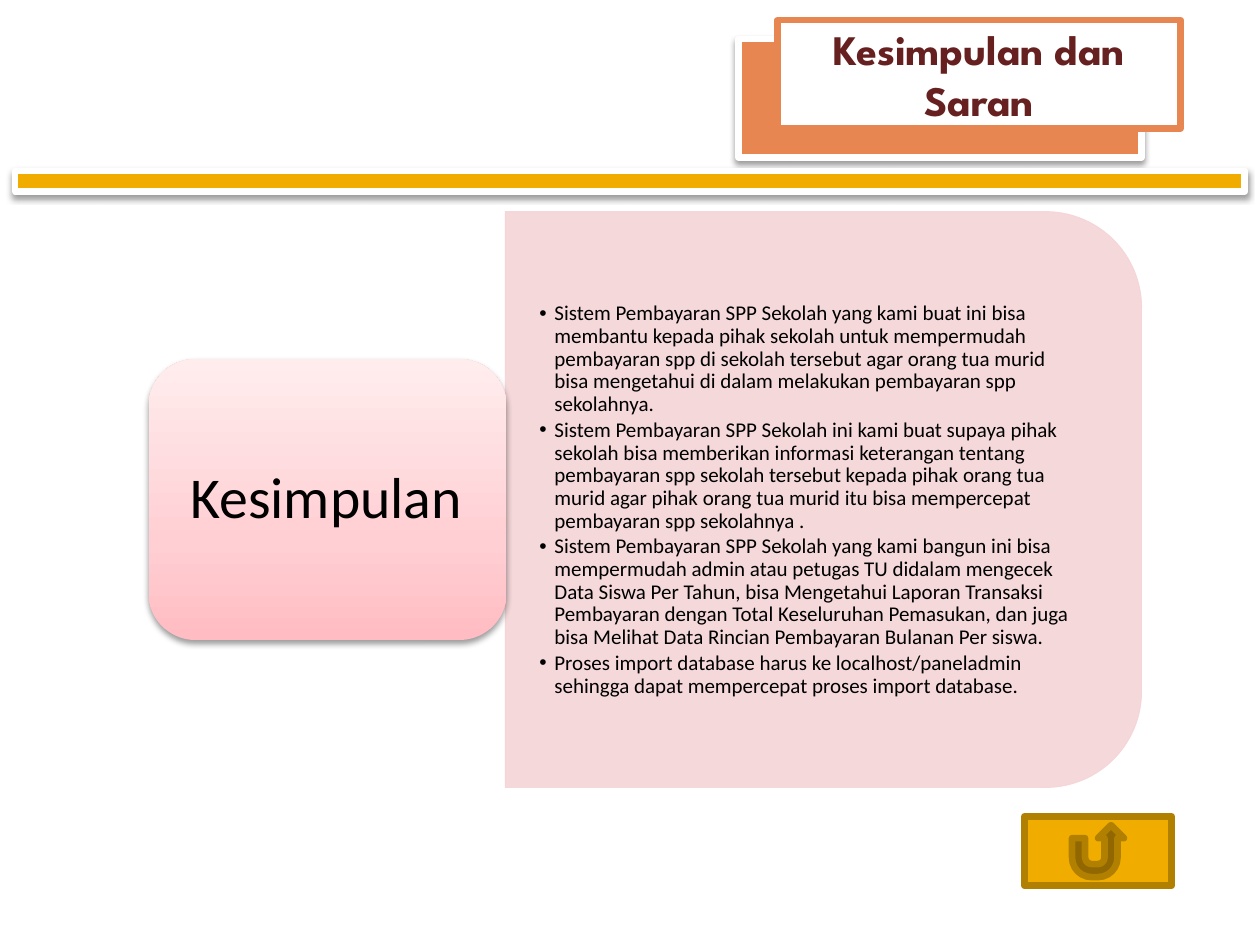
from lxml.etree import SubElement
from pptx import Presentation
from pptx.dml.color import RGBColor
from pptx.enum.shapes import MSO_SHAPE
from pptx.enum.text import MSO_ANCHOR, MSO_AUTO_SIZE, PP_ALIGN
from pptx.oxml import parse_xml
from pptx.oxml.ns import nsdecls, qn
from pptx.util import Inches, Pt

TITLE = "Kesimpulan dan Saran"
TOPIC = "Kesimpulan"
POINTS = [
    "Sistem Pembayaran SPP Sekolah yang kami buat ini bisa membantu kepada pihak sekolah "
    "untuk mempermudah pembayaran spp di sekolah tersebut agar orang tua murid bisa "
    "mengetahui di dalam melakukan pembayaran spp sekolahnya.",
    "Sistem Pembayaran SPP Sekolah ini kami buat supaya pihak sekolah bisa memberikan "
    "informasi keterangan tentang pembayaran spp sekolah tersebut kepada pihak orang tua "
    "murid agar pihak orang tua murid itu bisa mempercepat pembayaran spp sekolahnya .",
    "Sistem Pembayaran SPP Sekolah yang kami bangun ini bisa mempermudah admin atau petugas "
    "TU didalam mengecek Data Siswa Per Tahun, bisa Mengetahui Laporan Transaksi Pembayaran "
    "dengan Total Keseluruhan Pemasukan, dan juga bisa Melihat Data Rincian Pembayaran "
    "Bulanan Per siswa.",
    "Proses import database harus ke localhost/paneladmin sehingga dapat mempercepat proses "
    "import database.",
]
COLORS = {
    "white": "FFFFFF", "black": "000000", "orange": "E88651", "maroon": "672020",
    "gold": "F0AD00", "dark gold": "B28000", "rose": "F5D4D7",
}
TOPIC_GRADIENT = [(0, "FFBCC2"), (35, "FFCFD3"), (100, "FFEDEE")]


def color(name):
    return RGBColor.from_string(COLORS[name])


def paint(shape, fill, line, width):
    shape.fill.solid()
    shape.fill.fore_color.rgb = color(fill)
    shape.line.color.rgb = color(line)
    shape.line.width = Pt(width)


def add_shape(kind, *frame):
    shape = page.shapes.add_shape(kind, *map(Inches, frame))
    shape.shadow.inherit = False
    return shape


def add_shadow(shape):
    effects = shape.element.spPr.find(qn("a:effectLst"))
    effects.append(parse_xml(
        f'<a:outerShdw {nsdecls("a")} blurRad="{Pt(3.5)}" dist="{Pt(2)}" dir="5400000" '
        'rotWithShape="0"><a:srgbClr val="000000"><a:alpha val="38000"/></a:srgbClr>'
        '</a:outerShdw>'))


def make_translucent(fill_format, percent):
    SubElement(fill_format.fore_color._xFill[0], qn("a:alpha"), val=str(percent * 1000))


def write(shape, texts, size, font, ink, align, margins, spacing=None, after=0, bold=False):
    frame = shape.text_frame
    frame.text = "\n".join(texts)
    frame.word_wrap = True
    frame.auto_size = MSO_AUTO_SIZE.NONE
    frame.vertical_anchor = MSO_ANCHOR.MIDDLE
    frame.margin_left = frame.margin_right = Inches(margins[0])
    frame.margin_top = frame.margin_bottom = Inches(margins[1])
    for para in frame.paragraphs:
        para.alignment = align
        para.space_after = Pt(after)
        if spacing:
            para.line_spacing = spacing
        for span in para.runs:
            span.font.size = Pt(size)
            span.font.name = font
            span.font.bold = bold
            span.font.color.rgb = color(ink)


deck = Presentation()
deck.slide_width, deck.slide_height = Inches(10), Inches(7.5)
page = deck.slides.add_slide(deck.slide_layouts[5])

# Title card over its orange backing
backing = add_shape(MSO_SHAPE.RECTANGLE, 5.86, 0.31, 3.2, 0.94)
paint(backing, "orange", "white", 3.82)
add_shadow(backing)

title = page.shapes.title
title.left, title.top, title.width, title.height = map(Inches, (6.17, 0.16, 3.2, 0.86))
paint(title, "white", "orange", 3.78)
write(title, [TITLE], 24, "League Spartan", "maroon", PP_ALIGN.CENTER, (0.1, 0.05), bold=True)
backing.element.addnext(title.element)

# Divider bar
divider = add_shape(MSO_SHAPE.MATH_MINUS, -1.64, 1.09, 13.28, 0.7)
paint(divider, "gold", "white", 3.82)
add_shadow(divider)

# Return button
button = add_shape(MSO_SHAPE.ACTION_BUTTON_RETURN, 8.13, 6.48, 1.17, 0.55)
paint(button, "gold", "dark gold", 3.78)

# Panel with the conclusions
panel = add_shape(MSO_SHAPE.ROUND_2_SAME_RECTANGLE, 4.25, 1.44, 4.57, 5.05)
panel.rotation = 90
paint(panel, "rose", "rose", 0.5)
make_translucent(panel.fill, 90)
make_translucent(panel.line.fill, 90)

conclusions = page.shapes.add_textbox(*map(Inches, (4.01, 1.91, 4.82, 4.12)))
write(conclusions, POINTS, 12, "Calibri", "black", PP_ALIGN.LEFT, (0.27, 0.14), 0.9, 1.8)
for para in conclusions.text_frame.paragraphs:
    properties = para._p.get_or_add_pPr()
    properties.set("marL", str(Inches(0.12)))
    properties.set("indent", str(-Inches(0.12)))
    SubElement(properties, qn("a:buFont"), typeface="Arial")
    SubElement(properties, qn("a:buChar"), char="•")

# Topic block
topic = add_shape(MSO_SHAPE.ROUNDED_RECTANGLE, 1.18, 2.85, 2.84, 2.23)
topic.line.fill.background()
stops = "".join(f'<a:gs pos="{place * 1000}"><a:srgbClr val="{shade}"/></a:gs>'
                for place, shade in TOPIC_GRADIENT)
topic.element.spPr.find(qn("a:prstGeom")).addnext(parse_xml(
    f'<a:gradFill {nsdecls("a")} rotWithShape="1"><a:gsLst>{stops}</a:gsLst>'
    '<a:lin ang="16200000" scaled="0"/></a:gradFill>'))
add_shadow(topic)

label = page.shapes.add_textbox(*map(Inches, (1.28, 2.96, 2.62, 2.01)))
write(label, [TOPIC], 33, "Calibri", "black", PP_ALIGN.CENTER, (0.14, 0.07), 0.9)

deck.save("out.pptx")
